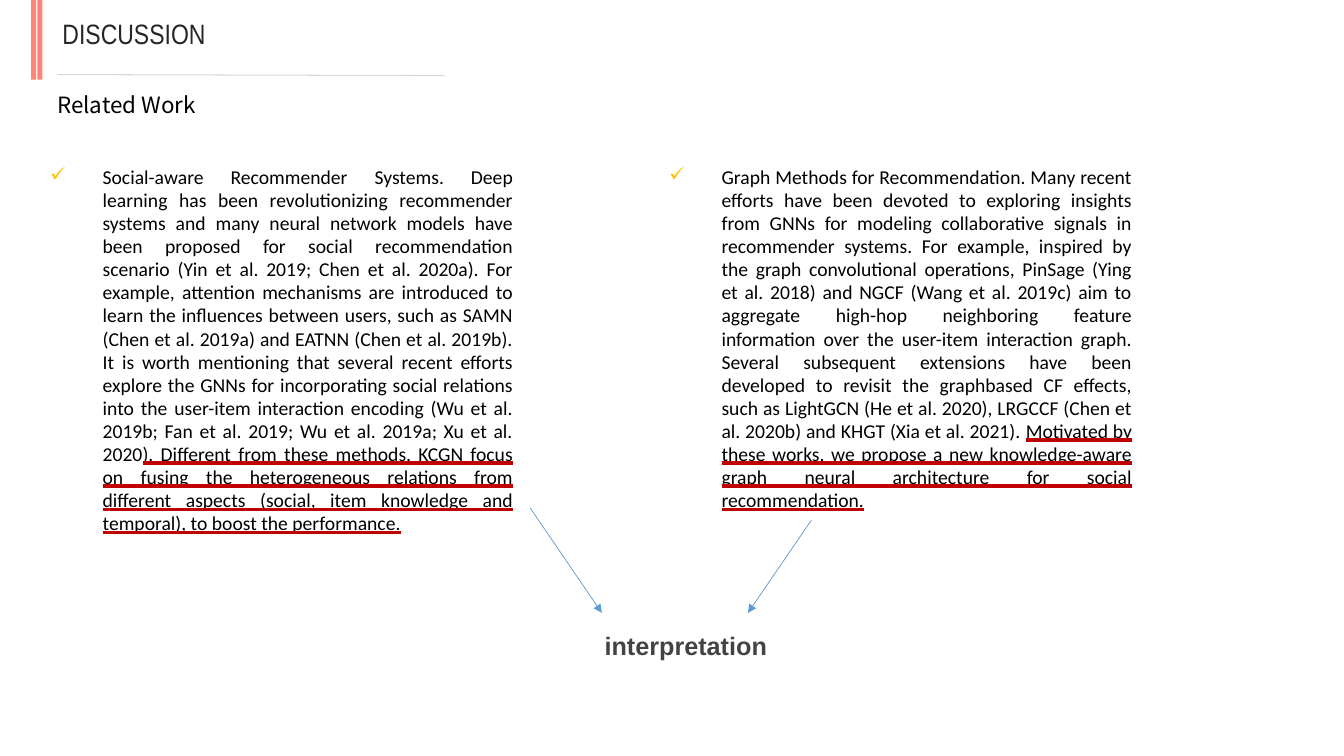
"""Builds the discussion slide that compares two strands of related work."""
import dataclasses

import lxml.etree
import pptx
import pptx.dml.color
import pptx.enum.shapes
import pptx.enum.text
import pptx.oxml.ns
import pptx.util


@dataclasses.dataclass(frozen=True)
class Theme:
    """Colours, fonts and type sizes of the slide."""
    accent: str = "FF8577"
    ink: str = "000000"
    title_ink: str = "262626"
    result_ink: str = "434343"
    rule: str = "D8D8D8"
    arrow: str = "5B9BD5"
    check: str = "FFC000"
    underline: str = "C00000"
    title_font: str = "Arial Narrow"
    heading_font: str = "Noto Sans CJK SC"
    body_font: str = "Calibri"
    result_font: str = "Arial"
    title_size: int = 20
    heading_size: int = 16
    body_size: int = 14
    result_size: int = 18


THEME = Theme()
GRID_COLUMNS, GRID_ROWS = 40, 30
BODY_ROW, BODY_WIDTH = 6.4, 14.37


def add_xml(parent, tag, **attributes):
    """Append a DrawingML element and return it."""
    return lxml.etree.SubElement(parent, pptx.oxml.ns.qn(tag), attributes)


def add_span(para, text, *, font, size, color, bold=False, underline=None):
    """Add a formatted run, with a heavy coloured underline if one is given."""
    span = para.add_run()
    span.text = text
    span.font.name = font
    span.font.size = pptx.util.Pt(size)
    span.font.bold = bold
    span.font.color.rgb = pptx.dml.color.RGBColor.from_string(color)
    properties = span.font._element
    add_xml(properties, "a:ea", typeface=font)
    if underline:
        span.font.underline = pptx.enum.text.MSO_UNDERLINE.HEAVY_LINE
        underline_fill = add_xml(properties, "a:uFill")
        add_xml(add_xml(underline_fill, "a:solidFill"), "a:srgbClr", val=underline)
        properties.find(pptx.oxml.ns.qn("a:latin")).addprevious(underline_fill)


class SlideBuilder:
    """Holds the theme and the current slide, and draws on its grid."""

    def __init__(self, deck, theme):
        """Start a title-only slide."""
        self.theme = theme
        self.column = deck.slide_width / GRID_COLUMNS
        self.row = deck.slide_height / GRID_ROWS
        self.page = deck.slides.add_slide(deck.slide_layouts[5])

    def place(self, column, row, width, height):
        """Turn grid units into slide lengths."""
        return (round(column * self.column), round(row * self.row),
                round(width * self.column), round(height * self.row))

    def frame(self, box):
        """Prepare the text frame of a box and return its first paragraph."""
        box.text_frame.word_wrap = True
        box.text_frame.auto_size = pptx.enum.text.MSO_AUTO_SIZE.NONE
        box.text_frame.vertical_anchor = pptx.enum.text.MSO_ANCHOR.TOP
        para = box.text_frame.paragraphs[0]
        para.alignment = pptx.enum.text.PP_ALIGN.LEFT
        return para

    def title(self, text, *area):
        """Move and format the title placeholder."""
        box = self.page.shapes.title
        box.left, box.top, box.width, box.height = self.place(*area)
        add_span(self.frame(box), text, font=self.theme.title_font,
                 size=self.theme.title_size, color=self.theme.title_ink)

    def text(self, text, *area, **style):
        """Add a one-line text box."""
        box = self.page.shapes.add_textbox(*self.place(*area))
        add_span(self.frame(box), text, **style)

    def checked_text(self, text, conclusion, *area):
        """Add a justified, check-marked paragraph with an underlined ending."""
        para = self.frame(self.page.shapes.add_textbox(*self.place(*area)))
        para.alignment = pptx.enum.text.PP_ALIGN.JUSTIFY
        para.space_before = pptx.util.Pt(3.3)
        para.line_spacing = 0.98
        properties = para._p.get_or_add_pPr()
        indent = pptx.util.Inches(0.52)
        properties.set("marL", str(indent))
        properties.set("indent", str(-indent))
        add_xml(add_xml(properties, "a:buClr"), "a:srgbClr", val=self.theme.check)
        add_xml(properties, "a:buChar", char="✓")
        style = dict(font=self.theme.body_font, size=self.theme.body_size,
                     color=self.theme.ink)
        add_span(para, text, **style)
        add_span(para, conclusion, underline=self.theme.underline, **style)

    def bar(self, *area):
        """Add a plain accent bar."""
        bar = self.page.shapes.add_shape(
            pptx.enum.shapes.MSO_SHAPE.RECTANGLE, *self.place(*area))
        bar.shadow.inherit = False
        bar.fill.solid()
        bar.fill.fore_color.rgb = pptx.dml.color.RGBColor.from_string(self.theme.accent)
        bar.line.fill.background()

    def line(self, *ends, color, width, arrow=False):
        """Add a straight line, optionally with an arrowhead at its end."""
        line = self.page.shapes.add_connector(
            pptx.enum.shapes.MSO_CONNECTOR.STRAIGHT, *self.place(*ends))
        line.line.color.rgb = pptx.dml.color.RGBColor.from_string(color)
        line.line.width = pptx.util.Pt(width)
        if arrow:
            add_xml(line.line._get_or_add_ln(), "a:tailEnd", type="triangle")
        add_xml(line._element.spPr, "a:effectLst")


SOCIAL = (
    "Social-aware Recommender Systems. Deep learning has been revolutionizing "
    "recommender systems and many neural network models have been proposed for "
    "social recommendation scenario (Yin et al. 2019; Chen et al. 2020a). For "
    "example, attention mechanisms are introduced to learn the influences between "
    "users, such as SAMN (Chen et al. 2019a) and EATNN (Chen et al. 2019b). It is "
    "worth mentioning that several recent efforts explore the GNNs for "
    "incorporating social relations into the user-item interaction encoding (Wu et "
    "al. 2019b; Fan et al. 2019; Wu et al. 2019a; Xu et al. 2020",
    "). Different from these methods, KCGN focus on fusing the heterogeneous "
    "relations from different aspects (social, item knowledge and temporal), to "
    "boost the performance.")
GRAPH = (
    "Graph Methods for Recommendation. Many recent efforts have been devoted to "
    "exploring insights from GNNs for modeling collaborative signals in recommender "
    "systems. For example, inspired by the graph convolutional operations, PinSage "
    "(Ying et al. 2018) and NGCF (Wang et al. 2019c) aim to aggregate high-hop "
    "neighboring feature information over the user-item interaction graph. Several "
    "subsequent extensions have been developed to revisit the graphbased CF "
    "effects, such as LightGCN (He et al. 2020), LRGCCF (Chen et al. 2020b) and "
    "KHGT (Xia et al. 2021). ",
    "Motivated by these works, we propose a new knowledge-aware graph neural "
    "architecture for social recommendation.")


def main():
    """Build and save the deck."""
    deck = pptx.Presentation()
    deck.slide_width = pptx.util.Inches(13.33)
    deck.slide_height = pptx.util.Inches(7.5)
    slide = SlideBuilder(deck, THEME)
    slide.title("DISCUSSION", 1.56, 0.44, 12.69, 1.76)
    for column in (0.93, 1.11):
        slide.bar(column, 0, 0.15, 3.16)
    slide.line(1.71, 2.96, 13.23, 3, color=THEME.rule, width=0.75)
    slide.text("Related Work", 1.41, 3.44, 17.19, 1.48, font=THEME.heading_font,
               size=THEME.heading_size, color=THEME.ink)
    for words, column, height in ((SOCIAL, 1.2, 15.48), (GRAPH, 19.62, 14.56)):
        slide.checked_text(*words, column, BODY_ROW, BODY_WIDTH, height)
    for ends in ((15.78, 20.16, 17.91, 24.32), (24.15, 20.64, 22.26, 24.32)):
        slide.line(*ends, color=THEME.arrow, width=0.5, arrow=True)
    slide.text("interpretation", 17.7, 24.8, 5.85, 2.8, font=THEME.result_font,
               size=THEME.result_size, color=THEME.result_ink, bold=True)
    deck.save("out.pptx")


main()
